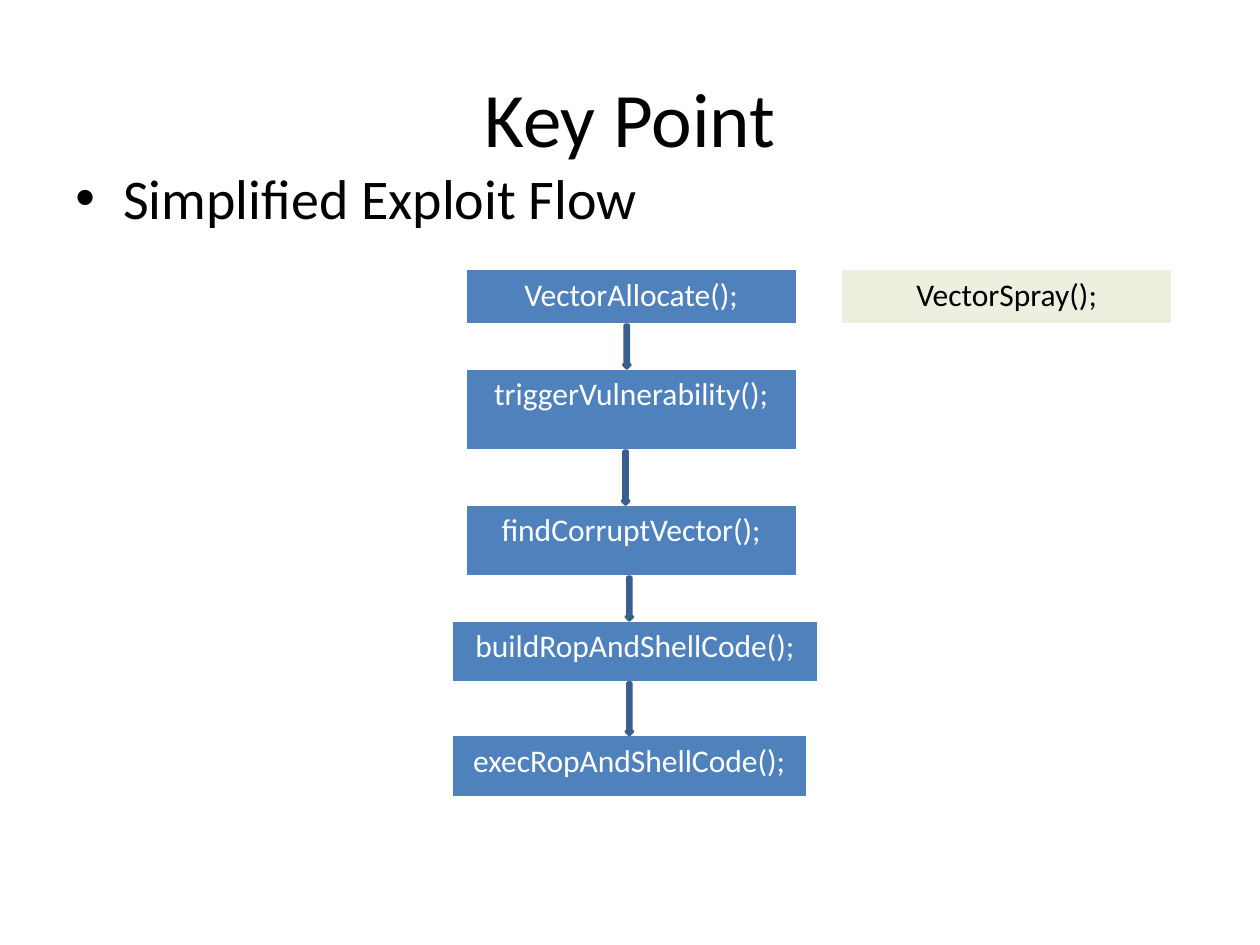
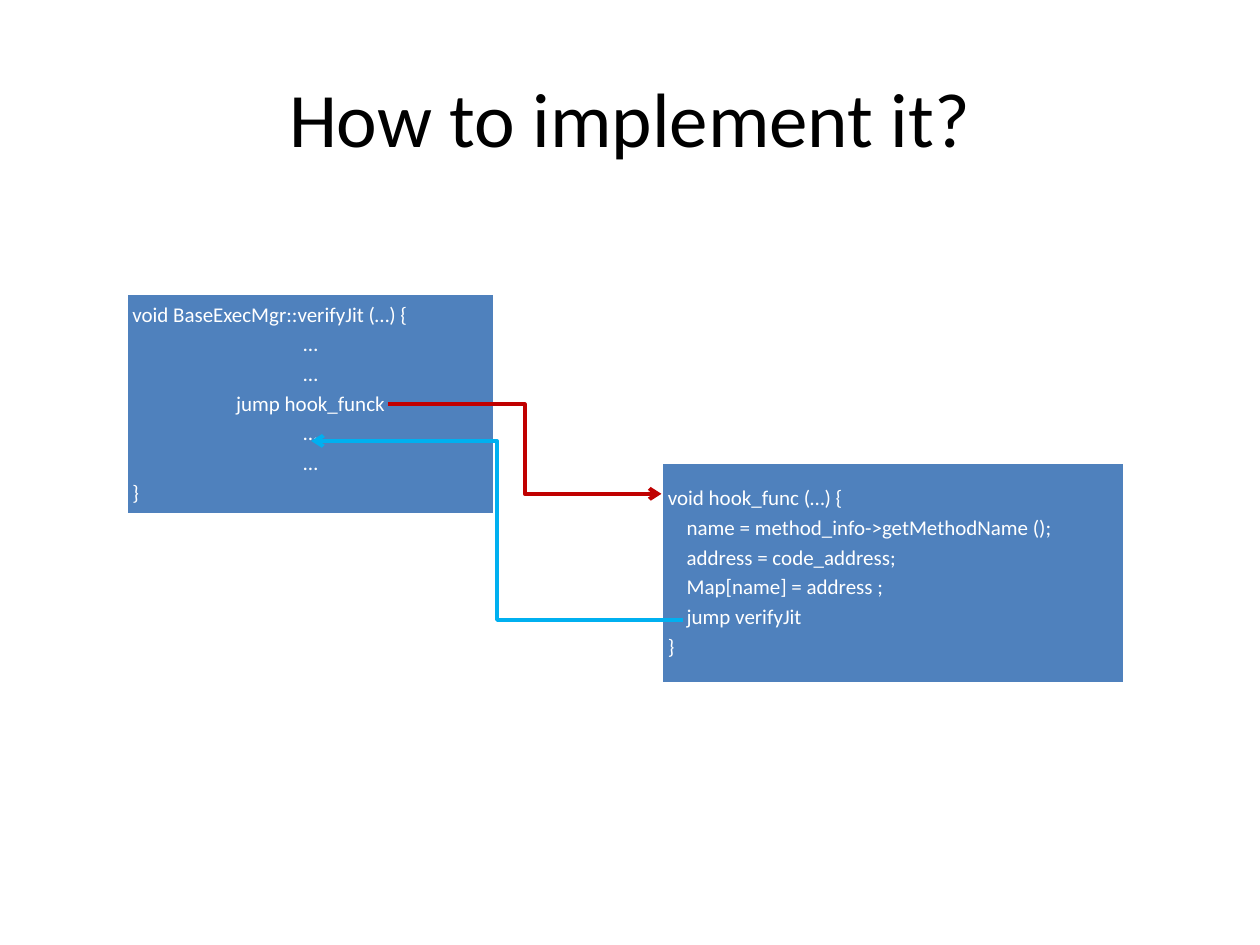
from lxml.etree import SubElement
from pptx import Presentation
from pptx.dml.color import RGBColor
from pptx.enum.shapes import MSO_CONNECTOR, MSO_SHAPE
from pptx.enum.text import MSO_ANCHOR, PP_ALIGN
from pptx.oxml.ns import qn
from pptx.util import Inches, Pt

FONT = "Calibri"
BLACK = RGBColor(0x00, 0x00, 0x00)
WHITE = RGBColor(0xFF, 0xFF, 0xFF)
BLUE = RGBColor(0x4F, 0x81, 0xBD)
DARK_BLUE = RGBColor(0x3A, 0x5F, 0x8C)
PALE_GREEN = RGBColor(0xEB, 0xF1, 0xDE)
RED = RGBColor(0xC0, 0x00, 0x00)
CYAN = RGBColor(0x00, 0xB0, 0xF0)


def add_block(page, kind, left, top, width, height, fill, line):
    """Add a flat preset shape with a 2 pt outline."""
    block = page.shapes.add_shape(
        kind, Inches(left), Inches(top), Inches(width), Inches(height))
    block.shadow.inherit = False
    block.fill.solid()
    block.fill.fore_color.rgb = fill
    block.line.color.rgb = line
    block.line.width = Pt(2)
    block.text_frame.word_wrap = True
    return block


def add_text(para, text, size, color, align=PP_ALIGN.LEFT):
    """Write one styled run into a paragraph."""
    para.alignment = align
    span = para.add_run()
    span.text = text
    span.font.name = FONT
    span.font.size = Pt(size)
    span.font.color.rgb = color


deck = Presentation()
deck.slide_width, deck.slide_height = Inches(10), Inches(7.5)

# Pages with their titles
pages = []
for title in ("Key Point", "How to implement it?"):
    page = deck.slides.add_slide(deck.slide_layouts[6])
    box = page.shapes.add_textbox(Inches(0.5), Inches(0.3), Inches(9), Inches(1.25))
    box.text_frame.word_wrap = True
    box.text_frame.vertical_anchor = MSO_ANCHOR.MIDDLE
    add_text(box.text_frame.paragraphs[0], title, 44, BLACK, PP_ALIGN.CENTER)
    pages.append(page)
flow_page, hook_page = pages

# Bullet above the exploit flow
box = flow_page.shapes.add_textbox(Inches(0.5), Inches(1.25), Inches(9), Inches(4.95))
box.text_frame.word_wrap = True
para = box.text_frame.paragraphs[0]
add_text(para, "Simplified Exploit Flow", 32, BLACK)
settings = para._p.get_or_add_pPr()
settings.set("marL", str(Inches(0.38)))
settings.set("indent", str(Inches(-0.38)))
SubElement(settings, qn("a:buFont"), typeface="Arial")
SubElement(settings, qn("a:buChar"), char="•")

# Flow steps: text, left, top, width, height, fill, text colour
steps = [
    ("VectorAllocate();", 3.69, 2.13, 2.64, 0.45, BLUE, WHITE),
    ("triggerVulnerability();", 3.69, 2.92, 2.64, 0.66, BLUE, WHITE),
    ("findCorruptVector();", 3.69, 4, 2.64, 0.58, BLUE, WHITE),
    ("buildRopAndShellCode();", 3.58, 4.92, 2.92, 0.5, BLUE, WHITE),
    ("execRopAndShellCode();", 3.58, 5.83, 2.83, 0.5, BLUE, WHITE),
    ("VectorSpray();", 6.67, 2.13, 2.64, 0.45, PALE_GREEN, BLACK),
]
for text, left, top, width, height, fill, color in steps:
    step = add_block(flow_page, MSO_SHAPE.RECTANGLE, left, top, width, height, fill, WHITE)
    step.text_frame.vertical_anchor = MSO_ANCHOR.TOP
    add_text(step.text_frame.paragraphs[0], text, 18, color, PP_ALIGN.CENTER)

# Down arrows fill the gaps between the five main steps
main_steps = steps[:5]
arrow_lefts = (4.95, 4.94, 4.97, 4.97)
for upper, lower, left in zip(main_steps, main_steps[1:], arrow_lefts):
    bottom = upper[2] + upper[4]
    add_block(flow_page, MSO_SHAPE.DOWN_ARROW, left, bottom, 0.05,
              lower[2] - bottom, BLUE, DARK_BLUE)

# Code panels: left, top, width, lines as (text, alignment, indent)
LEFT, CENTER = PP_ALIGN.LEFT, PP_ALIGN.CENTER
verify_code = [
    ("void BaseExecMgr::verifyJit (…) {", LEFT, 0),
    ("…", CENTER, 0),
    ("…", CENTER, 0),
    ("jump hook_funck", CENTER, 0),
    ("…", CENTER, 0),
    ("…", CENTER, 0),
    ("}", LEFT, 0),
]
hook_code = [
    ("void hook_func (…) {", LEFT, 0),
    ("name = method_info->getMethodName ();", LEFT, 0.15),
    ("address = code_address;", LEFT, 0.15),
    ("Map[name] = address ;", LEFT, 0.15),
    ("jump verifyJit", LEFT, 0.15),
    ("}", LEFT, 0),
]
for left, top, width, code in ((1, 2.33, 2.93, verify_code), (5.25, 3.67, 3.68, hook_code)):
    panel = add_block(hook_page, MSO_SHAPE.RECTANGLE, left, top, width, 1.76, BLUE, WHITE)
    frame = panel.text_frame
    frame.vertical_anchor = MSO_ANCHOR.MIDDLE
    frame.margin_left = frame.margin_right = Inches(0.05)
    frame.margin_top = frame.margin_bottom = Inches(0.05)
    for number, (text, align, indent) in enumerate(code):
        para = frame.add_paragraph() if number else frame.paragraphs[0]
        para.line_spacing = 0.9
        para.space_after = Pt(4)
        add_text(para, text, 12, WHITE, align)
        if indent:
            para._p.get_or_add_pPr().set("marL", str(Inches(indent)))

# Jump into the hook and jump back
jumps = [(3.08, 3.21, 5.25, 3.92, RED), (5.42, 4.92, 2.47, 3.5, CYAN)]
for start_x, start_y, end_x, end_y, color in jumps:
    jump = hook_page.shapes.add_connector(
        MSO_CONNECTOR.ELBOW, Inches(start_x), Inches(start_y), Inches(end_x), Inches(end_y))
    jump.line.color.rgb = color
    jump.line.width = Pt(2.25)
    SubElement(jump.line._get_or_add_ln(), qn("a:tailEnd"), type="arrow")
    SubElement(jump._element.spPr, qn("a:effectLst"))

deck.save("out.pptx")
